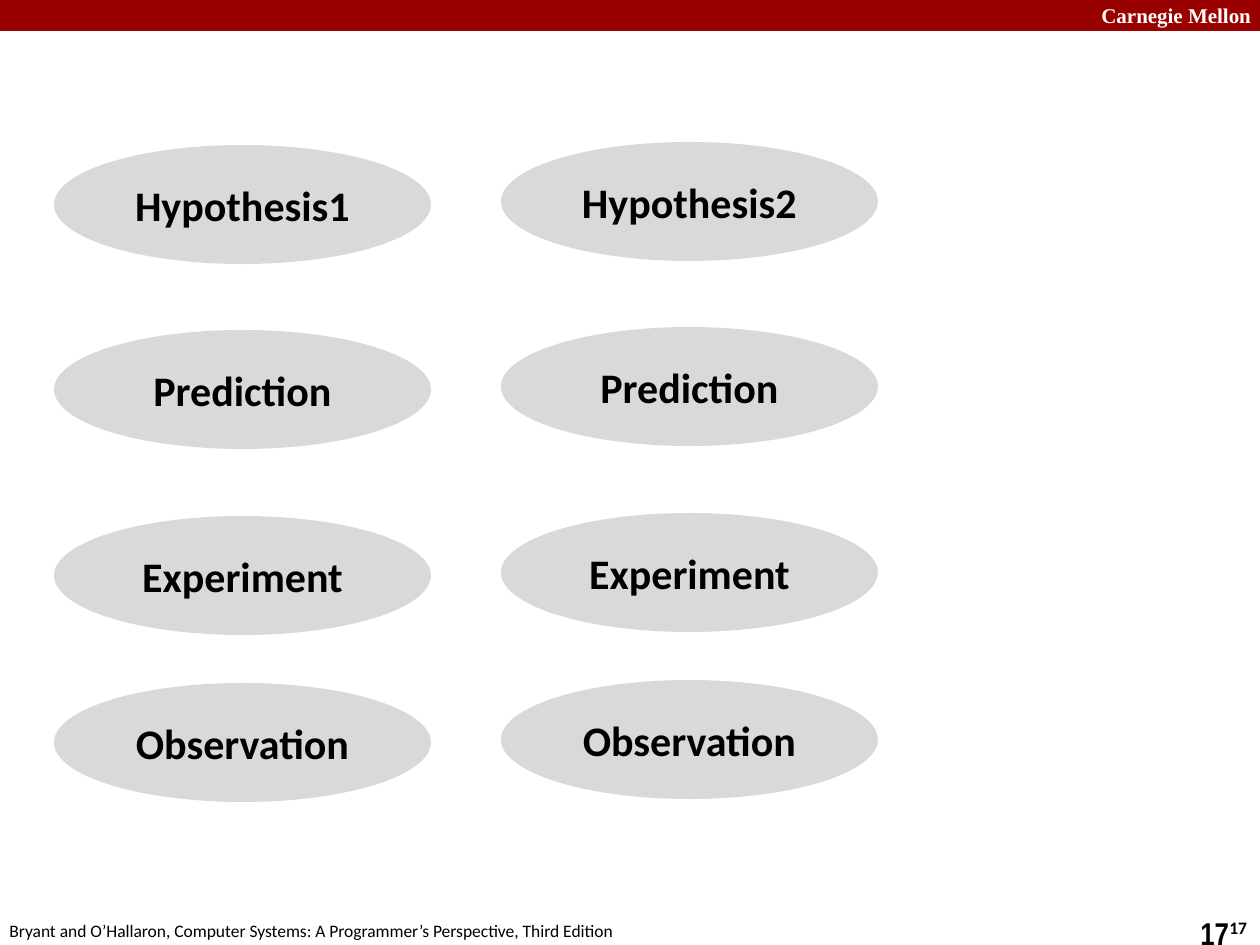
import pptx
import pptx.util
from pptx.dml.color import RGBColor
from pptx.enum.shapes import MSO_SHAPE
from pptx.enum.text import MSO_ANCHOR, PP_ALIGN

PX = 914400 // 126
RED = RGBColor(0x99, 0x00, 0x00)
GRAY = RGBColor(0xD9, 0xD9, 0xD9)
BLACK = RGBColor(0x00, 0x00, 0x00)
WHITE = RGBColor(0xFF, 0xFF, 0xFF)

prs = pptx.Presentation()
prs.slide_width = pptx.util.Inches(10)
prs.slide_height = pptx.util.Inches(7.5)
s = prs.slides.add_slide(prs.slide_layouts[6])


def set_text(sp, text, font, size, color, bold):
    tf = sp.text_frame
    tf.text = text
    f = tf.paragraphs[0].runs[0].font
    f.name = font
    f.size = pptx.util.Pt(size)
    f.color.rgb = color
    f.bold = bold
    return tf


def add_filled(kind, x, y, w, h, color):
    sp = s.shapes.add_shape(kind, x * PX, y * PX, w * PX, h * PX)
    sp.shadow.inherit = False
    sp.fill.solid()
    sp.fill.fore_color.rgb = color
    sp.line.fill.background()
    return sp


bar = add_filled(MSO_SHAPE.RECTANGLE, 0, 0, 1260, 31, RED)
bar.width = prs.slide_width

labels = [
    ("Carnegie Mellon", 1089, -4, 180, 38, "Times New Roman", 12, WHITE, True, True),
    ("17", 1217, 911, 47, 34, "Calibri", 10, BLACK, True, False),
    ("Bryant and O’Hallaron, Computer Systems: A Programmer’s Perspective, Third Edition",
     -3, 914, 640, 34, "Calibri", 10, BLACK, False, False),
    ("17", 1188, 908, 68, 32, "Arial Narrow", 18, BLACK, True, True),
]
for text, x, y, w, h, font, size, color, bold, wrap in labels:
    sp = s.shapes.add_textbox(x * PX, y * PX, w * PX, h * PX)
    tf = set_text(sp, text, font, size, color, bold)
    tf.word_wrap = wrap

row_offsets = [0, 185, 371, 538]
for number, (left, top) in enumerate([(54, 145), (501, 142)], start=1):
    steps = [f"Hypothesis{number}", "Prediction", "Experiment", "Observation"]
    for step, offset in zip(steps, row_offsets):
        sp = add_filled(MSO_SHAPE.OVAL, left, top + offset, 377, 119, GRAY)
        tf = set_text(sp, step, "Calibri", 24, BLACK, True)
        tf.vertical_anchor = MSO_ANCHOR.MIDDLE
        tf.paragraphs[0].alignment = PP_ALIGN.CENTER

prs.save("out.pptx")
